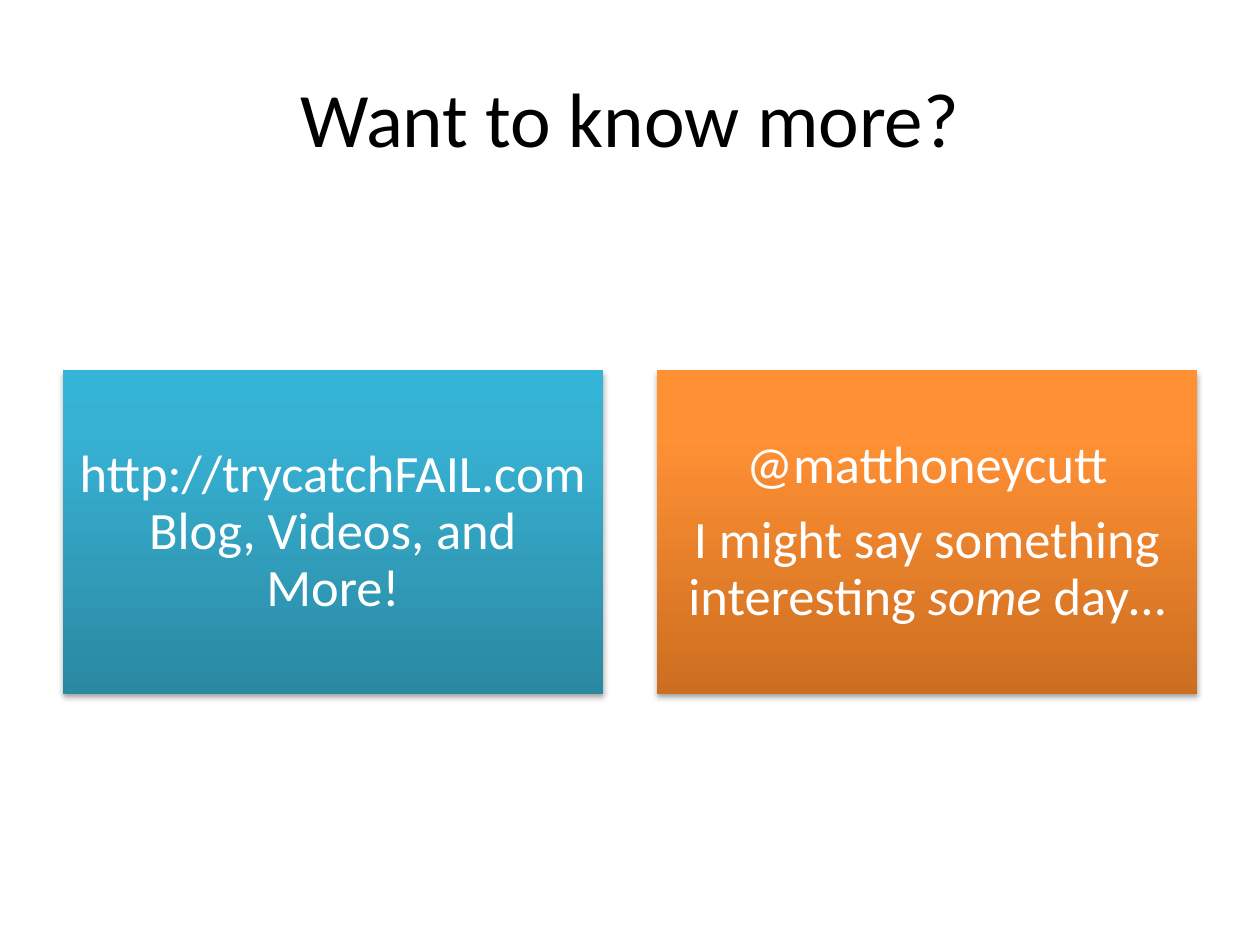
from dataclasses import dataclass

from lxml import etree
from pptx import Presentation
from pptx.dml.color import RGBColor
from pptx.enum.shapes import MSO_SHAPE as Preset
from pptx.enum.text import MSO_ANCHOR as Anchor, PP_ALIGN as Align
from pptx.oxml import parse_xml
from pptx.oxml.ns import nsdecls, qn
from pptx.util import Pt

BLACK = RGBColor(0x00, 0x00, 0x00)
WHITE = RGBColor(0xFF, 0xFF, 0xFF)
TEAL_DARK = RGBColor(0x2A, 0x88, 0xA2)
TEAL = RGBColor(0x37, 0xB1, 0xD2)
TEAL_LIGHT = RGBColor(0x34, 0xB4, 0xD6)
ORANGE_DARK = RGBColor(0xCC, 0x6E, 0x20)
ORANGE = RGBColor(0xFF, 0x90, 0x34)
ORANGE_LIGHT = RGBColor(0xFF, 0x91, 0x36)

FONT = "Calibri"
MARGIN = 36
CARD_TOP = 211.7
CARD_WIDTH = 308.57
CARD_HEIGHT = 0.6 * CARD_WIDTH
CARD_STEP = 1.1 * CARD_WIDTH


@dataclass
class Span:
    text: str
    italic: bool = False


@dataclass
class Card:
    colors: tuple[RGBColor, RGBColor, RGBColor]  # bottom to top
    paragraphs: list[list[Span]]


CARDS = [
    Card((TEAL_DARK, TEAL, TEAL_LIGHT),
         [[Span("http://trycatchFAIL.com\vBlog, Videos, and More!")]]),
    Card((ORANGE_DARK, ORANGE, ORANGE_LIGHT),
         [[Span("@matthoneycutt")],
          [Span("I might say something interesting "),
           Span("some", italic=True), Span(" day…")]]),
]


def write_text(box, paragraphs: list[list[Span]], *, size: float,
               color: RGBColor, inset: tuple[float, float],
               line_spacing: float = 1.0, space_after: float = 0) -> None:
    """Fill a shape with centred paragraphs; \\v in a span is a line break."""
    frame = box.text_frame
    frame.word_wrap = True
    frame.vertical_anchor = Anchor.MIDDLE
    frame.margin_left = frame.margin_right = Pt(inset[0])
    frame.margin_top = frame.margin_bottom = Pt(inset[1])
    for index, spans in enumerate(paragraphs):
        para = frame.add_paragraph() if index else frame.paragraphs[0]
        para.alignment = Align.CENTER
        para.line_spacing = line_spacing
        para.space_after = Pt(space_after)
        for span in spans:
            for number, line in enumerate(span.text.split("\v")):
                if number:
                    para.add_line_break()
                run = para.add_run()
                run.text = line
                run.font.name = FONT
                run.font.size = Pt(size)
                run.font.italic = span.italic
                run.font.color.rgb = color


def set_gradient(box, colors: tuple[RGBColor, ...]) -> None:
    """Shade a shape from its bottom edge to its top edge."""
    stops = "".join(
        f'<a:gs pos="{percent * 1000}"><a:srgbClr val="{color}"/></a:gs>'
        for percent, color in zip((0, 80, 100), colors))
    gradient = parse_xml(
        f'<a:gradFill {nsdecls("a")} rotWithShape="1"><a:gsLst>{stops}</a:gsLst>'
        f'<a:lin ang="{270 * 60000}" scaled="0"/></a:gradFill>')
    box._element.spPr.find(qn("a:prstGeom")).addnext(gradient)


def set_shadow(box) -> None:
    """Cast a soft black shadow straight down."""
    box.shadow.inherit = False
    effects = box._element.spPr.find(qn("a:effectLst"))
    shadow = etree.SubElement(
        effects, qn("a:outerShdw"), blurRad=str(Pt(3.1)), dist=str(Pt(1.8)),
        dir=str(90 * 60000), rotWithShape="0")
    color = etree.SubElement(shadow, qn("a:srgbClr"), val=str(BLACK))
    etree.SubElement(color, qn("a:alpha"), val="35000")


def add_card(page, card: Card, left: float) -> None:
    box = page.shapes.add_shape(Preset.RECTANGLE, Pt(left), Pt(CARD_TOP),
                                Pt(CARD_WIDTH), Pt(CARD_HEIGHT))
    box.line.fill.background()
    set_gradient(box, card.colors)
    set_shadow(box)
    write_text(box, card.paragraphs, size=30, color=WHITE, inset=(8.64, 8.64),
               line_spacing=0.9, space_after=10.5)


def main() -> None:
    deck = Presentation()
    deck.slide_width, deck.slide_height = Pt(720), Pt(540)
    page = deck.slides.add_slide(deck.slide_layouts[6])

    # Title
    title = page.shapes.add_textbox(Pt(MARGIN), Pt(21.6), Pt(648), Pt(90))
    write_text(title, [[Span("Want to know more?")]], size=44, color=BLACK,
               inset=(7.2, 3.6))

    # Contact cards
    for index, card in enumerate(CARDS):
        add_card(page, card, MARGIN + index * CARD_STEP)

    deck.save("out.pptx")


if __name__ == "__main__":
    main()
